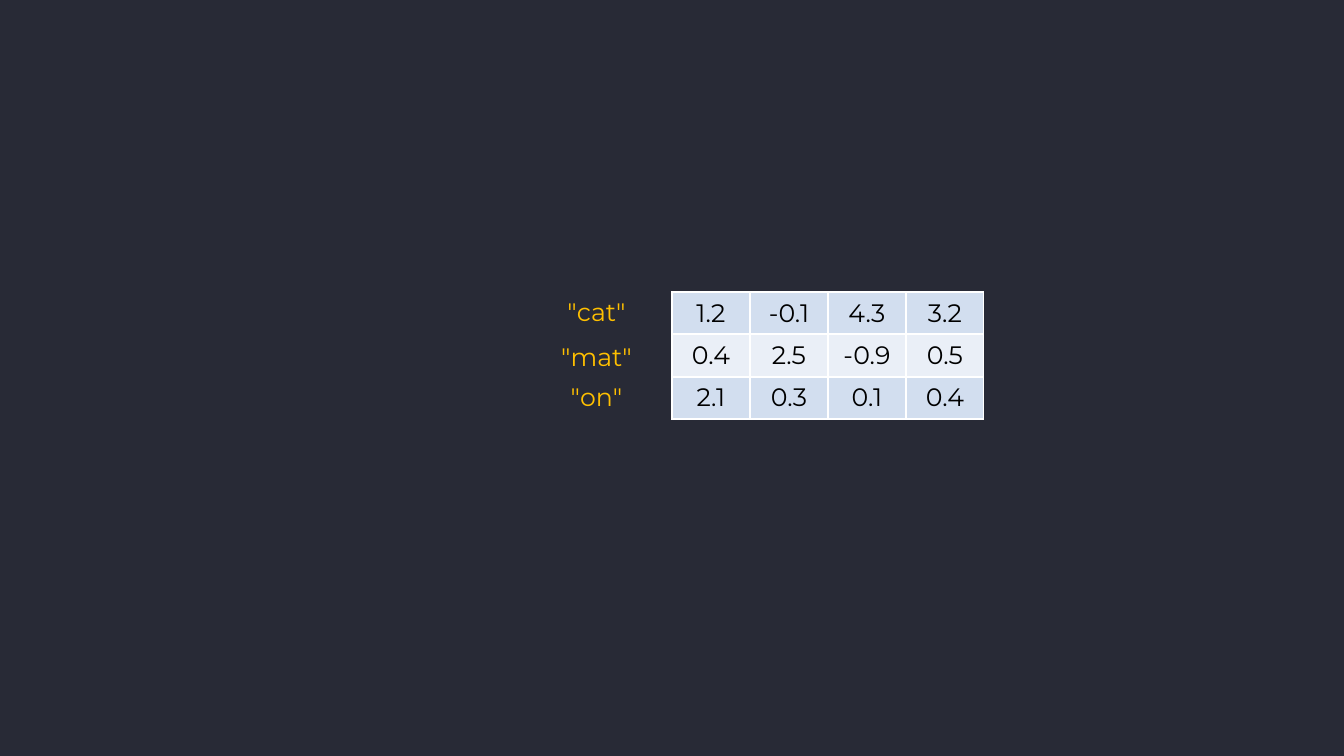
from dataclasses import dataclass

from lxml import etree
from pptx import Presentation
from pptx.dml.color import RGBColor
from pptx.enum.text import MSO_ANCHOR, MSO_AUTO_SIZE, PP_ALIGN
from pptx.oxml.ns import qn
from pptx.util import Emu, Pt

MID = MSO_ANCHOR.MIDDLE
CENTER = PP_ALIGN.CENTER
GROW = MSO_AUTO_SIZE.SHAPE_TO_FIT_TEXT

WIDE, HIGH = 1344, 756
SCALE = 12192000 / WIDE
FONT = "Montserrat"
COLORS = {
    "back": "282A36",
    "word": "FFC000",
    "value": "000000",
    "odd": "D2DEEF",
    "even": "EAEFF7",
    "edge": "FFFFFF",
}


@dataclass
class Vector:
    """A word, the top of its label and its embedding values."""
    word: str
    top: int
    values: tuple[str, ...]


VECTORS = [
    Vector('"cat"', 291, ("1.2", "-0.1", "4.3", "3.2")),
    Vector('"mat"', 336, ("0.4", "2.5", "-0.9", "0.5")),
    Vector('"on"', 376, ("2.1", "0.3", "0.1", "0.4")),
]
LEFT, TOP, COL = 672, 292, 78
ROWS = (42, 43, 42)
LABEL_X, LABEL_W, LABEL_H = 546, 101, 40


def px(size: float) -> Emu:
    """Turn pixels into EMU."""
    return Emu(round(size * SCALE))


def rgb(name: str) -> RGBColor:
    """Look up a colour by its role."""
    return RGBColor.from_string(COLORS[name])


def write(frame, text: str, color: str) -> None:
    """Put one centred run in a text frame."""
    para = frame.paragraphs[0]
    para.alignment = CENTER
    run = para.add_run()
    run.text = text
    run.font.name = FONT
    run.font.size = Pt(18)
    run.font.color.rgb = rgb(color)


def edge(cell) -> None:
    """Draw a thin line on all four sides of a cell."""
    props = cell._tc.get_or_add_tcPr()
    for spot, side in enumerate(("lnL", "lnR", "lnT", "lnB")):
        line = etree.Element(qn(f"a:{side}"), w=str(Pt(1)))
        fill = etree.SubElement(line, qn("a:solidFill"))
        etree.SubElement(fill, qn("a:srgbClr"), val=COLORS["edge"])
        props.insert(spot, line)


def add_grid(slide) -> None:
    """Add the table of embedding values."""
    count = len(VECTORS[0].values)
    table = slide.shapes.add_table(
        len(VECTORS), count, px(LEFT), px(TOP), px(COL * count), px(sum(ROWS))
    ).table
    table.first_row = False
    for col in table.columns:
        col.width = px(COL)
    for r, vector in enumerate(VECTORS):
        table.rows[r].height = px(ROWS[r])
        for c, value in enumerate(vector.values):
            cell = table.cell(r, c)
            cell.vertical_anchor = MID
            cell.fill.solid()
            cell.fill.fore_color.rgb = rgb("even" if r % 2 else "odd")
            edge(cell)
            write(cell.text_frame, value, "value")


def add_label(slide, vector: Vector) -> None:
    """Add the word to the left of its row."""
    box = slide.shapes.add_textbox(
        px(LABEL_X), px(vector.top), px(LABEL_W), px(LABEL_H)
    )
    frame = box.text_frame
    frame.word_wrap = True
    frame.auto_size = GROW
    frame.vertical_anchor = MID
    write(frame, vector.word, "word")


def main() -> None:
    """Build and save the slide."""
    deck = Presentation()
    deck.slide_width, deck.slide_height = px(WIDE), px(HIGH)
    slide = deck.slides.add_slide(deck.slide_layouts[6])
    back = slide.background.fill
    back.solid()
    back.fore_color.rgb = rgb("back")
    add_grid(slide)
    for vector in VECTORS:
        add_label(slide, vector)
    deck.save("out.pptx")


main()
